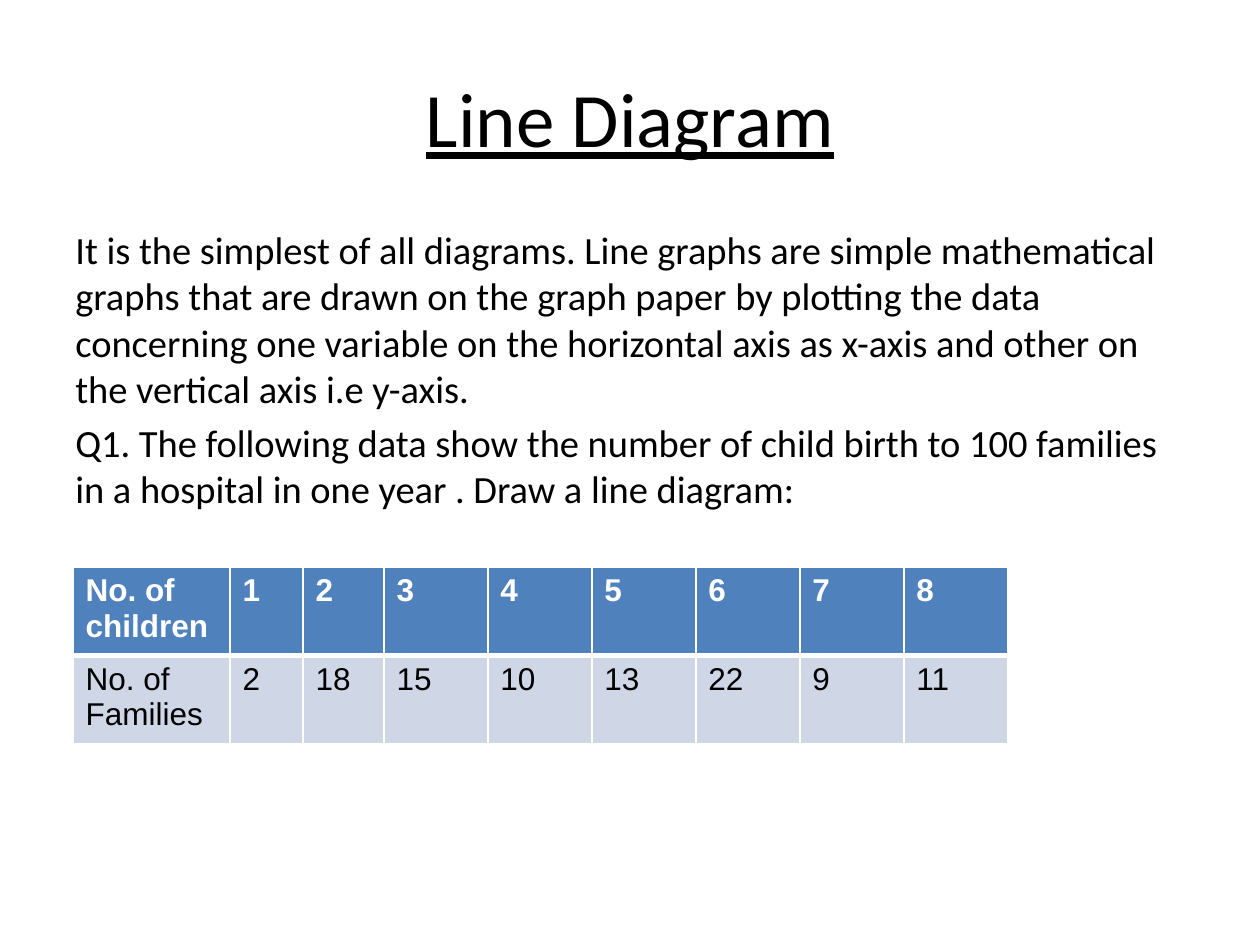
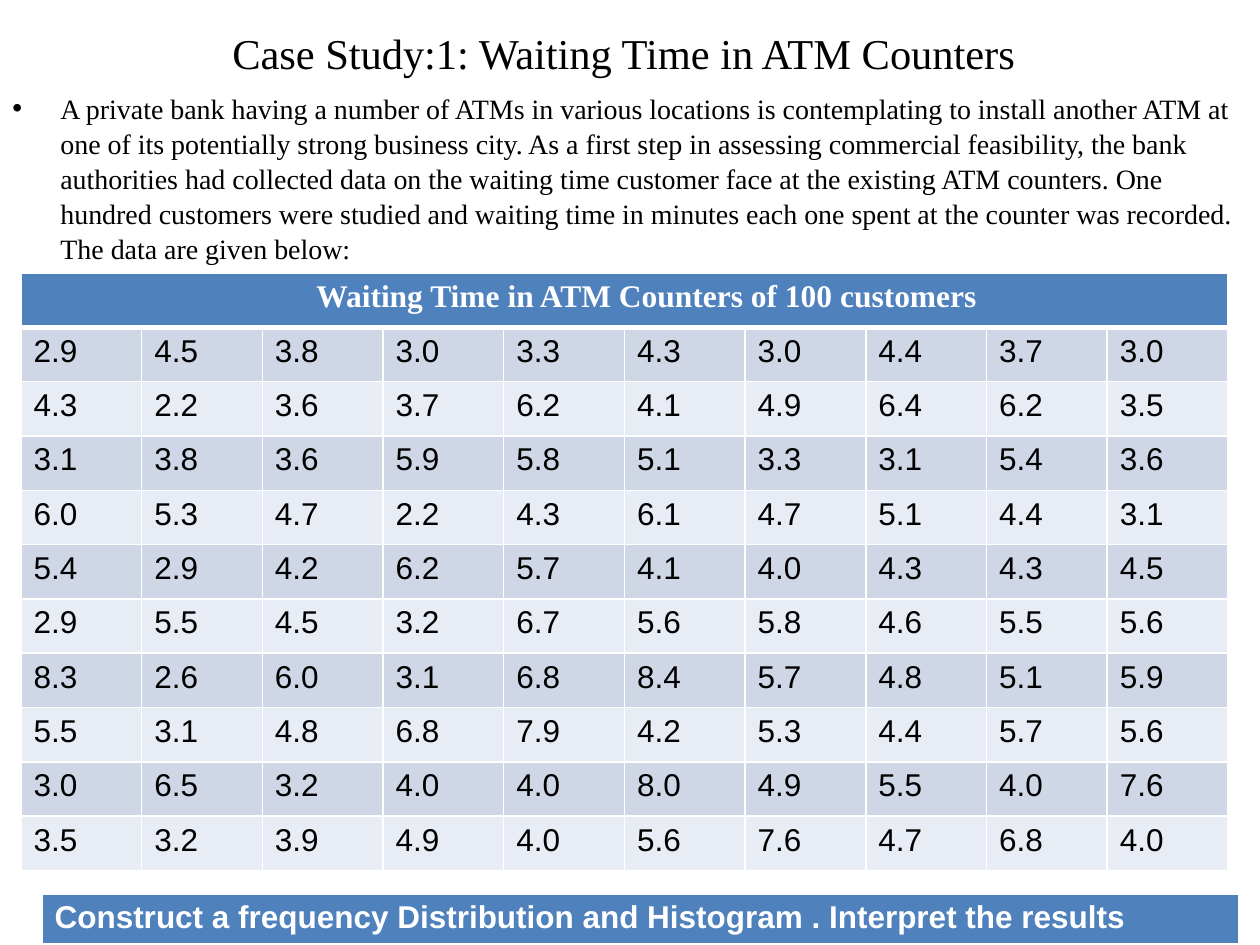
from lxml.etree import SubElement
from pptx import Presentation
from pptx.dml.color import RGBColor
from pptx.enum.text import MSO_ANCHOR, MSO_AUTO_SIZE, PP_ALIGN
from pptx.oxml import parse_xml
from pptx.oxml.ns import nsdecls, qn
from pptx.util import Pt

PX = 914400 / 126  # EMU in one px
BLACK = RGBColor(0, 0, 0)
WHITE = RGBColor(255, 255, 255)
BLUE = RGBColor(0x4F, 0x81, 0xBD)
BANDS = [RGBColor(0xCF, 0xD7, 0xE7), RGBColor(0xE8, 0xEC, 0xF4)]
SERIF = "Times New Roman"


def px(*nums):
    return [round(n * PX) for n in nums]


def grid(slide, box, rows):
    """Add a table with a blue head row, banded rows and white rules."""
    table = slide.shapes.add_table(len(rows), len(rows[0]), *px(*box)).table
    for r, row in enumerate(rows):
        for c, text in enumerate(row):
            cell = table.cell(r, c)
            cell.text = text
            cell.fill.solid()
            cell.fill.fore_color.rgb = BANDS[(r - 1) % 2] if r else BLUE
            font = cell.text_frame.paragraphs[0].font
            font.name, font.size, font.bold = "Arial", Pt(18), r == 0
            font.color.rgb = BLACK if r else WHITE
            # The rule under the head row is thicker
            wide = {"L": 1, "R": 1, "T": 3 if r == 1 else 1, "B": 1 if r else 3}
            for i, (side, pts) in enumerate(wide.items()):
                rule = parse_xml(
                    f'<a:ln{side} {nsdecls("a")} w="{Pt(pts)}"><a:solidFill>'
                    f'<a:srgbClr val="{WHITE}"/></a:solidFill></a:ln{side}>')
                cell._tc.get_or_add_tcPr().insert(i, rule)
    return table


deck = Presentation()
deck.slide_width, deck.slide_height = px(1260, 945)

# Titles and body text of both slides
pages = [
    ("Line Diagram", "Calibri", 44, (63, 38, 1134, 158), 22,
     (63, 220, 1134, 624),
     ["It is the simplest of all diagrams. Line graphs are simple mathematical "
      "graphs that are drawn on the graph paper by plotting the data concerning "
      "one variable on the horizontal axis as x-axis and other on the vertical "
      "axis i.e y-axis.",
      "Q1. The following data show the number of child birth to 100 families in "
      "a hospital in one year . Draw a line diagram:"]),
    ("Case Study:1: Waiting Time in ATM Counters", SERIF, 24.3,
     (63, 21, 1134, 63), 16, (0, 84, 1260, 861),
     ["A private bank having a number of ATMs in various locations is "
      "contemplating to install another ATM at one of its potentially strong "
      "business city. As a first step in assessing commercial feasibility, the "
      "bank authorities had collected data on the waiting time customer face at "
      "the existing ATM counters. One hundred customers were studied and waiting "
      "time in minutes each one spent at the counter was recorded. The data are "
      "given below:"]),
]
slides, bodies = [], []
for name, face, big, head, small, box, paras in pages:
    slide = deck.slides.add_slide(deck.slide_layouts[5])
    title = slide.shapes.title
    title.left, title.top, title.width, title.height = px(*head)
    title.text = name
    title.text_frame.auto_size = MSO_AUTO_SIZE.NONE
    title.text_frame.vertical_anchor = MSO_ANCHOR.MIDDLE
    para = title.text_frame.paragraphs[0]
    para.alignment = PP_ALIGN.CENTER
    para.font.name, para.font.size = face, Pt(big)
    para.font.color.rgb = BLACK

    body = slide.shapes.add_textbox(*px(*box)).text_frame
    body.word_wrap = True
    body.text = "\n".join(paras)
    for i, para in enumerate(body.paragraphs):
        if i:
            para.space_before = Pt(4.4)
        para.font.name, para.font.size = face, Pt(small)
        para.font.color.rgb = BLACK
    slides.append(slide)
    bodies.append(body)
first, second = slides

# Slide 1: underlined title and family table
first.shapes.title.text_frame.paragraphs[0].font.underline = True
births = grid(first, (73, 567, 935, 164), [
    ["No. of children", "1", "2", "3", "4", "5", "6", "7", "8"],
    ["No. of Families", "2", "18", "15", "10", "13", "22", "9", "11"],
])
for col, wide in zip(births.columns, px(157, 73, 81, *[104] * 6)):
    col.width = wide

# Slide 2: title nudged left, bulleted paragraph
second.shapes.title.text_frame.margin_right = px(25)[0]
para = bodies[1].paragraphs[0]
props = para._p.get_or_add_pPr()
dent = px(48)[0]
props.set("marL", str(dent))
props.set("indent", str(-dent))
para.line_spacing = 1.04
SubElement(props, qn("a:buFont")).set("typeface", "Arial")
SubElement(props, qn("a:buChar")).set("char", "•")
# Keep the font defaults after the bullet
props.append(props.find(qn("a:defRPr")))

# Waiting times
times = """
2.9 4.5 3.8 3.0 3.3 4.3 3.0 4.4 3.7 3.0
4.3 2.2 3.6 3.7 6.2 4.1 4.9 6.4 6.2 3.5
3.1 3.8 3.6 5.9 5.8 5.1 3.3 3.1 5.4 3.6
6.0 5.3 4.7 2.2 4.3 6.1 4.7 5.1 4.4 3.1
5.4 2.9 4.2 6.2 5.7 4.1 4.0 4.3 4.3 4.5
2.9 5.5 4.5 3.2 6.7 5.6 5.8 4.6 5.5 5.6
8.3 2.6 6.0 3.1 6.8 8.4 5.7 4.8 5.1 5.9
5.5 3.1 4.8 6.8 7.9 4.2 5.3 4.4 5.7 5.6
3.0 6.5 3.2 4.0 4.0 8.0 4.9 5.5 4.0 7.6
3.5 3.2 3.9 4.9 4.0 5.6 7.6 4.7 6.8 4.0
"""
rows = [line.split() for line in times.strip().splitlines()]
label = ["Waiting Time in ATM Counters of 100 customers"] + [""] * 9
waits = grid(second, (21, 273, 1207, 598), [label] + rows)
head = waits.cell(0, 0)
head.merge(waits.cell(0, 9))
head.margin_left = px(57)[0]
para = head.text_frame.paragraphs[0]
para.alignment = PP_ALIGN.CENTER
para.font.name = SERIF

# Task bar
grid(second, (42, 894, 1197, 51), [
    ["Construct a frequency Distribution and Histogram . Interpret the results"]])

deck.save("out.pptx")
